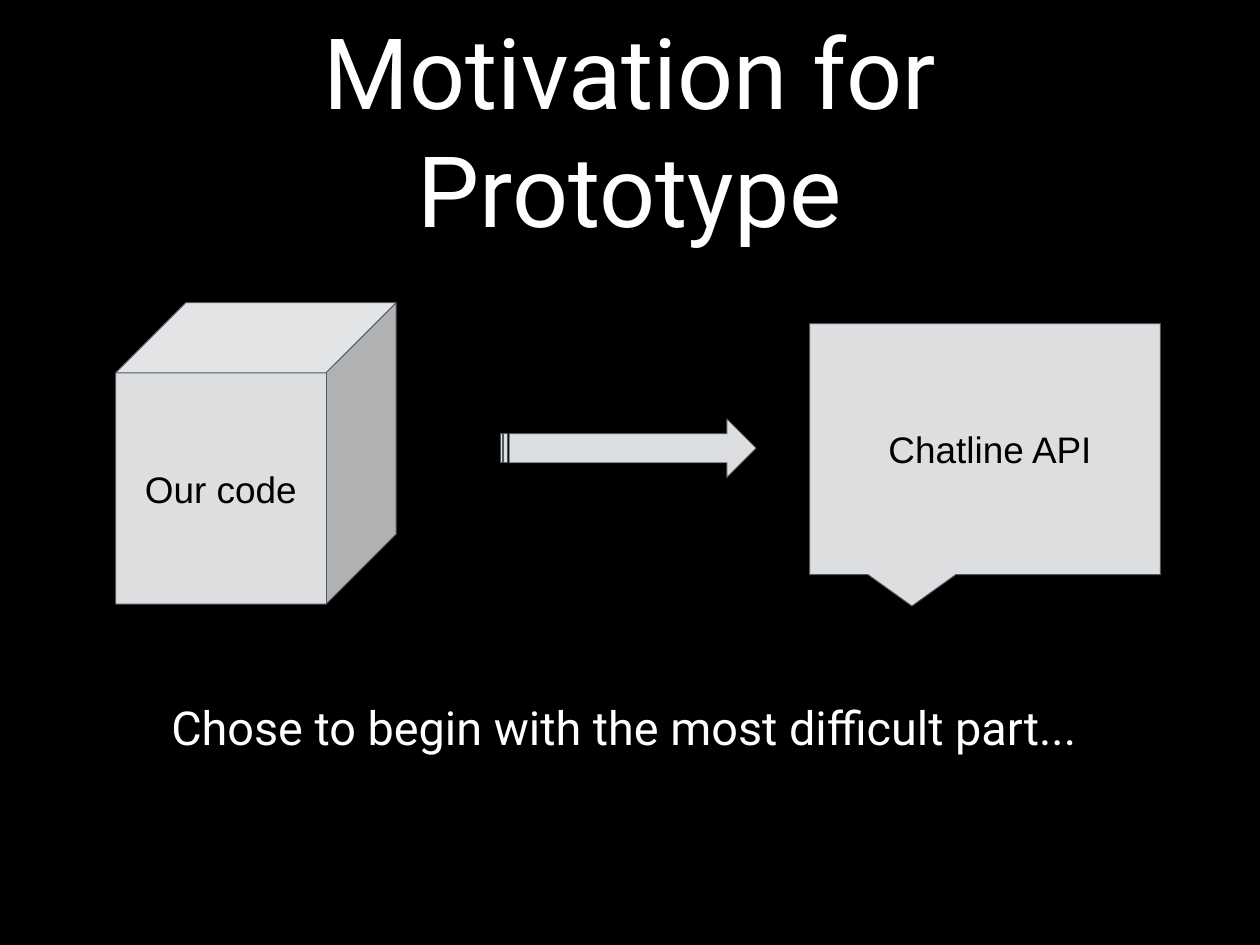
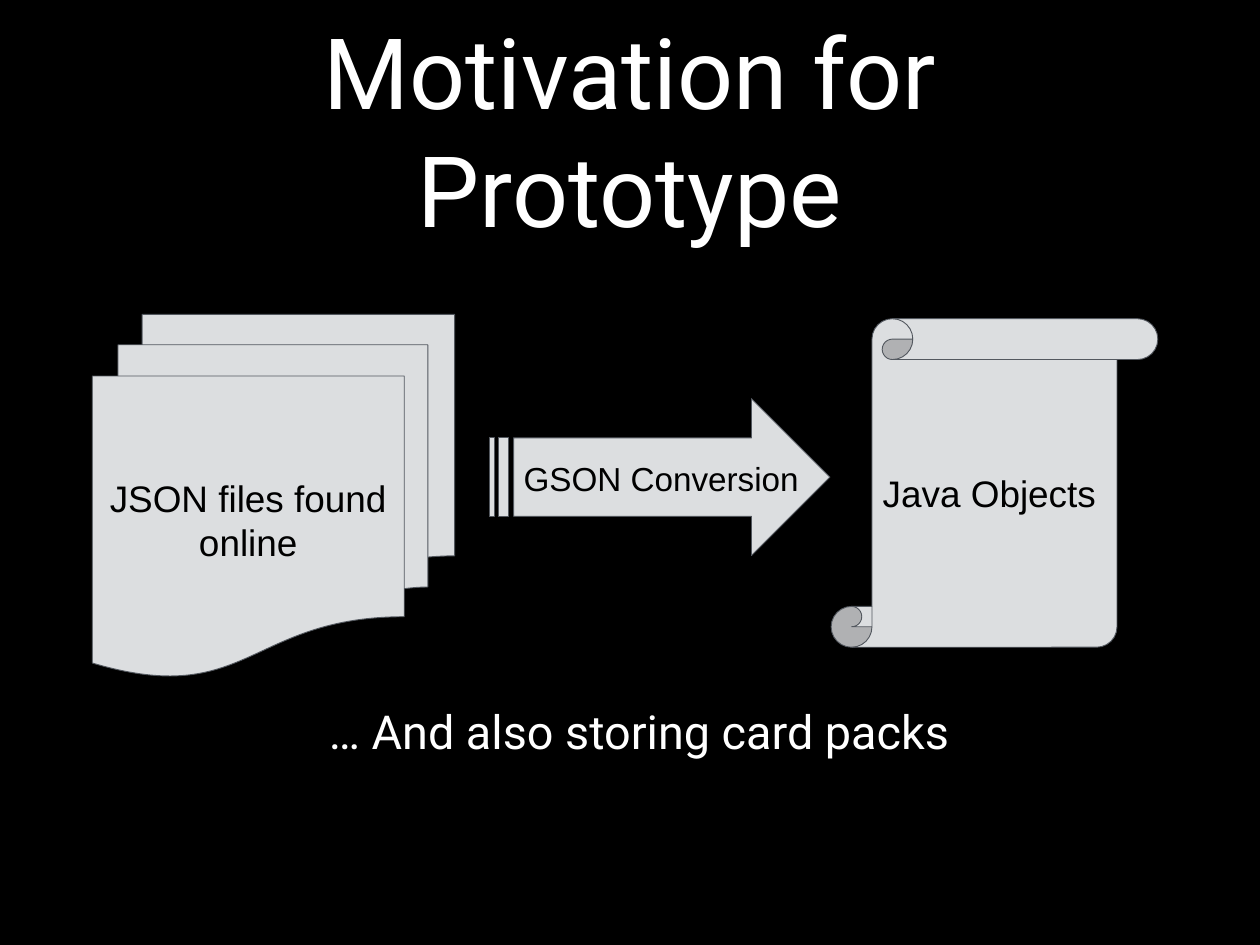
from lxml import etree
from pptx import Presentation
from pptx.dml.color import RGBColor
from pptx.enum.shapes import MSO_SHAPE
from pptx.enum.text import MSO_ANCHOR, MSO_AUTO_SIZE, PP_ALIGN
from pptx.oxml.ns import qn
from pptx.util import Pt

COLORS = {"background": "000000", "heading": "FFFFFF", "label": "000000",
          "fill": "DCDEE0", "line": "53585F"}
INSET = 7.2
TITLE_BOX = (75, 20, 874, 170)
TITLE_FORMAT = {"name": "Roboto", "size": Pt(80), "bold": False}
BODY_FORMAT = {"name": "Roboto", "size": Pt(38), "bold": False}
LABEL_FORMAT = {"name": "Arial", "size": Pt(30), "bold": False}
ARROW_LABEL_FORMAT = {**LABEL_FORMAT, "size": Pt(27)}


def rgb(name):
    return RGBColor.from_string(COLORS[name])


def place(sp, box):
    for name, value in zip(("left", "top", "width", "height"), box):
        setattr(sp, name, Pt(value))


def write(sp, text, font, color, align=PP_ALIGN.CENTER,
          anchor=MSO_ANCHOR.MIDDLE, side=INSET):
    tf = sp.text_frame
    frame = {"margin_left": Pt(side), "margin_right": Pt(side),
             "margin_top": Pt(INSET), "margin_bottom": Pt(INSET),
             "word_wrap": True, "auto_size": MSO_AUTO_SIZE.NONE,
             "vertical_anchor": anchor}
    for name, value in frame.items():
        setattr(tf, name, value)
    p = tf.paragraphs[0]
    p.alignment = align
    p.space_before = Pt(0)
    r = p.add_run()
    r.text = text
    for name, value in font.items():
        setattr(r.font, name, value)
    r.font.color.rgb = rgb(color)
    return p


def add_title(s, box, text):
    place(s.shapes.title, box)
    write(s.shapes.title, text, TITLE_FORMAT, "heading", side=14)


def add_caption(s, box, text, align):
    sp = s.placeholders[1]
    place(sp, box)
    p = write(sp, text, BODY_FORMAT, "heading", align)
    pPr = p._p.get_or_add_pPr()
    pPr.set("marL", str(Pt(35)))
    pPr.set("indent", str(Pt(-21)))
    etree.SubElement(pPr, qn("a:buNone"))


def add_diagram(s, box, parts):
    left, top = box[:2]
    for kind, (x, y, w, h), text in parts:
        sp = s.shapes.add_shape(kind, Pt(left + x), Pt(top + y), Pt(w), Pt(h))
        sp.shadow.inherit = False
        sp.fill.solid()
        sp.fill.fore_color.rgb = rgb("fill")
        sp.line.color.rgb = rgb("line")
        sp.line.width = Pt(0.75)
        if text:
            write(sp, text, LABEL_FORMAT, "label")


def add_arrow_label(s, box, text):
    sp = s.shapes.add_textbox(*map(Pt, box))
    write(sp, text, ARROW_LABEL_FORMAT, "label", PP_ALIGN.LEFT, MSO_ANCHOR.TOP)


def add_motivation_slide(prs, caption_box, caption, align, diagram_box, parts):
    s = prs.slides.add_slide(prs.slide_layouts[1])
    add_title(s, TITLE_BOX, "Motivation for Prototype")
    add_caption(s, caption_box, caption, align)
    add_diagram(s, diagram_box, parts)
    return s


def main():
    prs = Presentation()
    prs.slide_width, prs.slide_height = Pt(1024), Pt(768)
    background = prs.slide_master.background.fill
    background.solid()
    background.fore_color.rgb = rgb("background")

    add_motivation_slide(
        prs, (118, 547, 788, 88),
        "Chose to begin with the most difficult part...", PP_ALIGN.LEFT,
        (94, 246, 849, 245),
        [(MSO_SHAPE.RECTANGULAR_CALLOUT, (564, 17, 285, 204), " Chatline API"),
         (MSO_SHAPE.STRIPED_RIGHT_ARROW, (312.5, 94.5, 208, 47.5), ""),
         (MSO_SHAPE.CUBE, (0, 0, 228, 245), "Our code")])

    s = add_motivation_slide(
        prs, (122.5, 550, 780, 88),
        "… And also storing card packs", PP_ALIGN.CENTER,
        (75, 255.5, 866, 294.5),
        [(MSO_SHAPE.FLOWCHART_MULTIDOCUMENT, (0, 0, 294.5, 294.5),
          "JSON files found online"),
         (MSO_SHAPE.STRIPED_RIGHT_ARROW, (322.5, 68.5, 277, 127.5), ""),
         (MSO_SHAPE.VERTICAL_SCROLL, (600.5, 3.5, 265.5, 267),
          "Java Objects ")])
    add_arrow_label(s, (418.5, 365, 244, 55.5), "GSON Conversion")

    prs.save("out.pptx")


if __name__ == "__main__":
    main()
